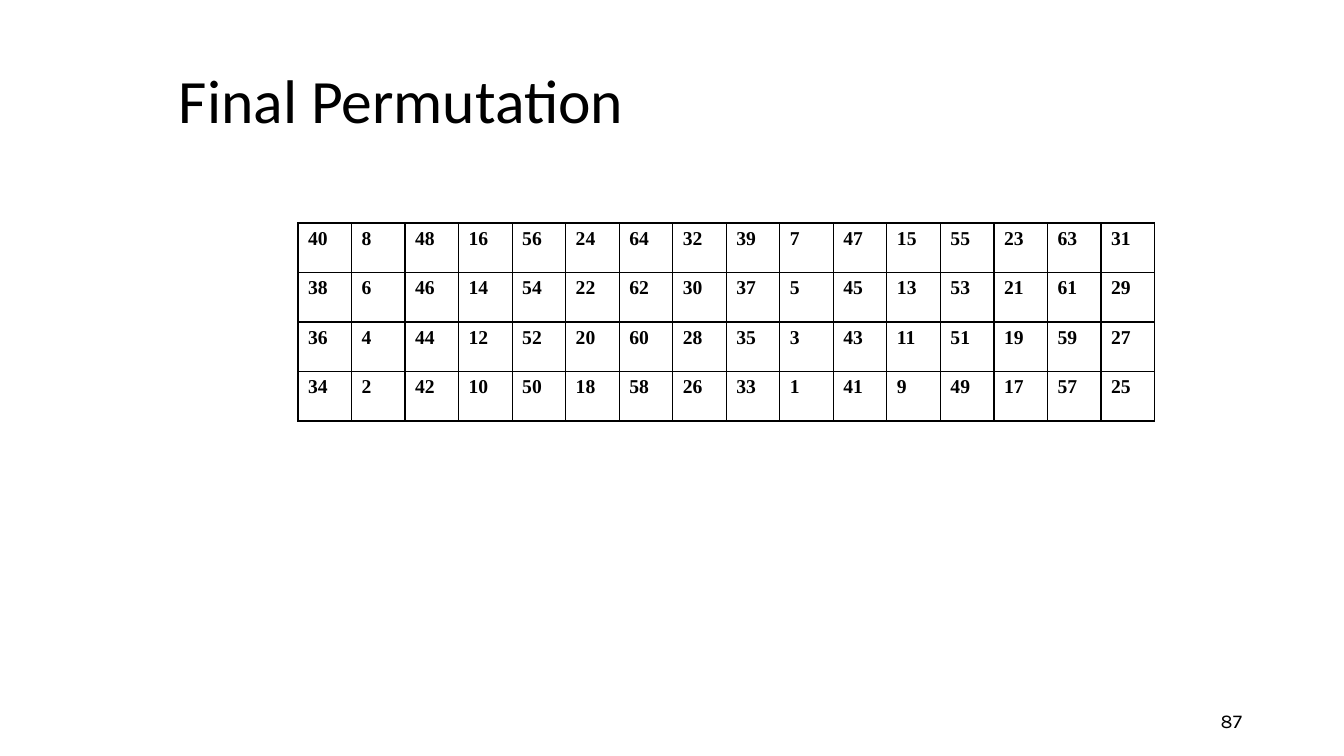
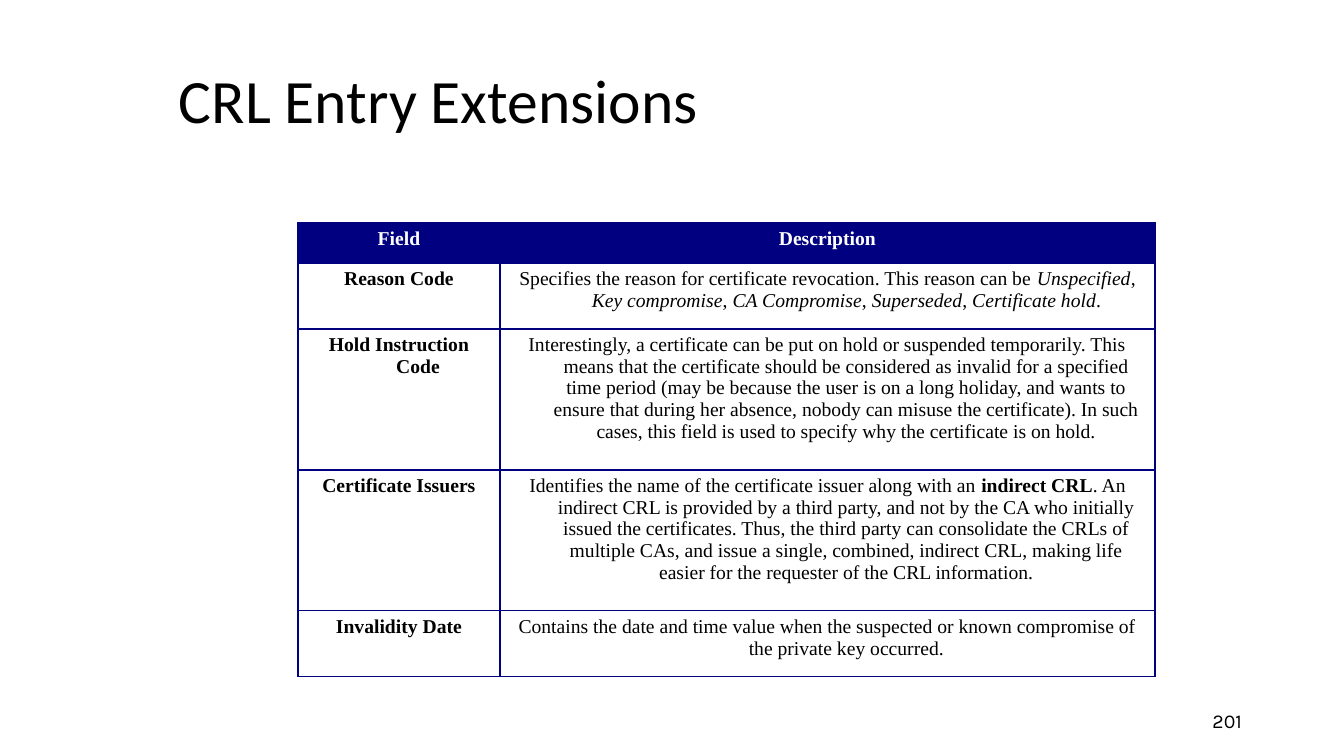
import pptx
import pptx.dml.color
import pptx.enum.text
import pptx.oxml
import pptx.oxml.ns
import pptx.util

EMU_PER_PX = 914400 / 100.8
BLACK = pptx.dml.color.RGBColor(0x00, 0x00, 0x00)
WHITE = pptx.dml.color.RGBColor(0xFF, 0xFF, 0xFF)
NAVY = pptx.dml.color.RGBColor(0x00, 0x00, 0x80)
ALIGN = pptx.enum.text.PP_ALIGN
TABLE_LEFT, TABLE_TOP, TABLE_WIDTH = 298, 223, 857
HANGING_INDENT = 38

# The final permutation counts down from these positions.
first_positions = [40, 8, 48, 16, 56, 24, 64, 32]
permutation_rows = [
    [[(str(position - 2 * row - half), "b")] for half in range(2) for position in first_positions]
    for row in range(4)
]

extension_rows = [
    [[("Field", "b")], [("Description", "b")]],
    [[("Reason Code", "b")],
     [("Specifies the reason for certificate revocation. This reason can be ", ""),
      ("Unspecified", "i"), (", ", ""), ("Key compromise", "i"), (", ", ""),
      ("CA Compromise", "i"), (", ", ""), ("Superseded", "i"), (", ", ""),
      ("Certificate hold", "i"), (".", "")]],
    [[("Hold Instruction Code", "b")],
     [("Interestingly, a certificate can be put on hold or suspended temporarily. This means "
       "that the certificate should be considered as invalid for a specified time period (may "
       "be because the user is on a long holiday, and wants to ensure that during her absence, "
       "nobody can misuse the certificate). In such cases, this field is used to specify why "
       "the certificate is on hold.", "")]],
    [[("Certificate Issuers", "b")],
     [("Identifies the name of the certificate issuer along with an ", ""),
      ("indirect CRL", "b"),
      (". An indirect CRL is provided by a third party, and not by the CA who initially issued "
       "the certificates. Thus, the third party can consolidate the CRLs of multiple CAs, and "
       "issue a single, combined, indirect CRL, making life easier for the requester of the "
       "CRL information.", "")]],
    [[("Invalidity Date", "b")],
     [("Contains the date and time value when the suspected or known compromise of the private "
       "key occurred.", "")]],
]

# title, page number, cells, column widths, row heights, alignment, border colour, has header
pages = [
    ("Final Permutation", "87", permutation_rows, [TABLE_WIDTH / 16] * 16, [198 / 4] * 4,
     ALIGN.JUSTIFY, BLACK, False),
    ("CRL Entry Extensions", "201", extension_rows, [202, TABLE_WIDTH - 202],
     [40, 66, 141, 141, 66], ALIGN.CENTER, NAVY, True),
]


def px(length):
    return pptx.util.Emu(round(length * EMU_PER_PX))


def add_run(paragraph, text, font_name, size, color=BLACK, style=""):
    """Style holds "b" for bold and "i" for italic."""
    run = paragraph.add_run()
    run.text = text
    run.font.name = font_name
    run.font.size = pptx.util.Pt(size)
    run.font.color.rgb = color
    run.font.bold = "b" in style
    run.font.italic = "i" in style


presentation = pptx.Presentation()
presentation.slide_width, presentation.slide_height = px(1344), px(756)

for title, number, rows, widths, heights, alignment, border_color, has_header in pages:
    slide = presentation.slides.add_slide(presentation.slide_layouts[6])

    for text, font_name, size, box, text_alignment, spacing in [
        (number, "Karla", 14, (950, 701, 302, 40), ALIGN.RIGHT, 1.0),
        (title, "Calibri", 44, (169, 23, 1145, 161), ALIGN.LEFT, 0.9),
    ]:
        frame = slide.shapes.add_textbox(*map(px, box)).text_frame
        frame.word_wrap = True
        frame.vertical_anchor = pptx.enum.text.MSO_ANCHOR.MIDDLE
        paragraph = frame.paragraphs[0]
        paragraph.alignment = text_alignment
        paragraph.line_spacing = spacing
        add_run(paragraph, text, font_name, size)

    table = slide.shapes.add_table(
        len(rows), len(widths),
        px(TABLE_LEFT), px(TABLE_TOP), px(TABLE_WIDTH), px(sum(heights)),
    ).table
    table.first_row = has_header
    table.horz_banding = False
    for column, width in zip(table.columns, widths):
        column.width = px(width)

    for row_index, (row, height) in enumerate(zip(rows, heights)):
        table.rows[row_index].height = px(height)
        is_header = has_header and row_index == 0
        for column_index, runs in enumerate(row):
            cell = table.cell(row_index, column_index)
            if is_header:
                cell.fill.solid()
                cell.fill.fore_color.rgb = NAVY
            else:
                cell.fill.background()
            cell_properties = cell._tc.get_or_add_tcPr()
            for side_index, side in enumerate("LRTB"):
                cell_properties.insert(side_index, pptx.oxml.parse_xml(
                    f'<a:ln{side} {pptx.oxml.ns.nsdecls("a")} w="12700"><a:solidFill>'
                    f'<a:srgbClr val="{border_color}"/></a:solidFill></a:ln{side}>'))

            paragraph = cell.text_frame.paragraphs[0]
            paragraph.alignment = alignment
            paragraph_properties = paragraph._p.get_or_add_pPr()
            paragraph_properties.set("marL", str(px(HANGING_INDENT)))
            paragraph_properties.set("indent", str(px(-HANGING_INDENT)))
            for text, style in runs:
                add_run(paragraph, text, "Times New Roman", 14,
                        WHITE if is_header else BLACK, style)

presentation.save("out.pptx")
